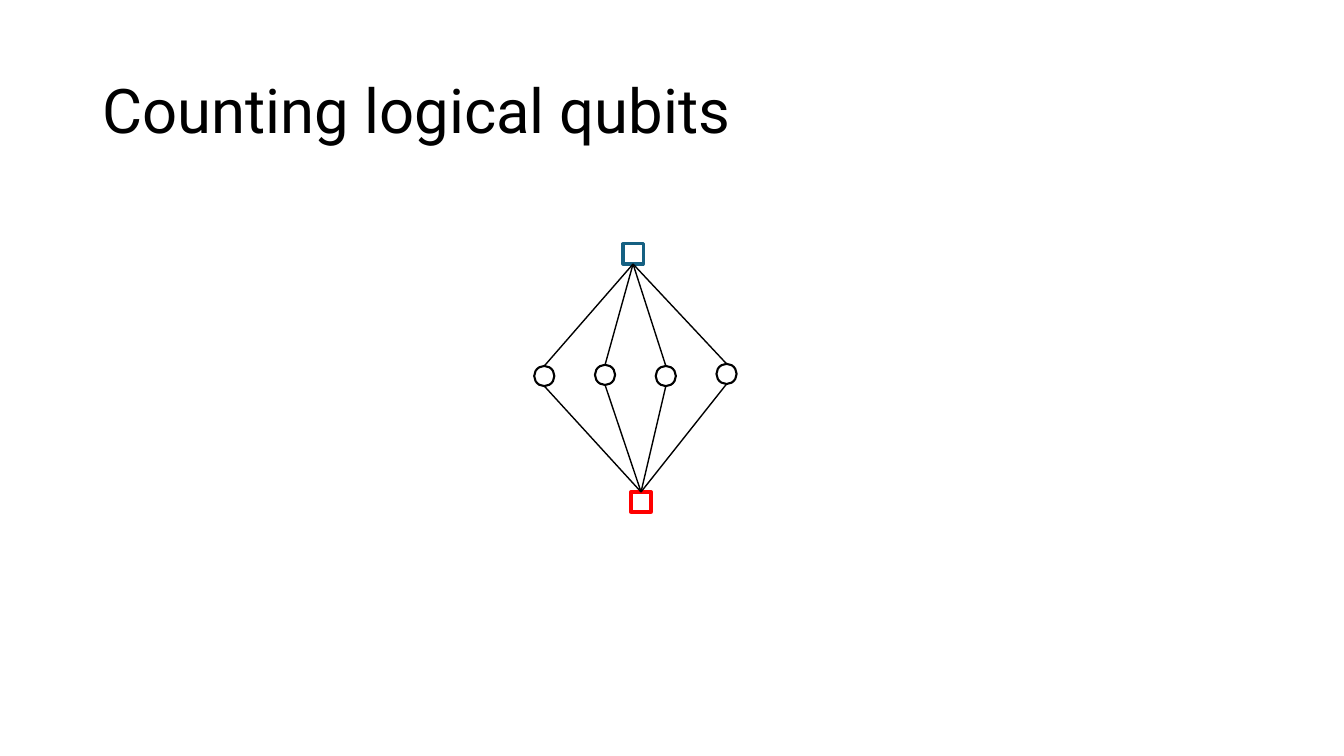
from dataclasses import dataclass

from lxml.etree import SubElement
from pptx import Presentation
from pptx.dml.color import RGBColor
from pptx.enum.shapes import MSO_CONNECTOR, MSO_SHAPE
from pptx.enum.text import MSO_ANCHOR, PP_ALIGN
from pptx.oxml.ns import qn
from pptx.util import Pt


@dataclass(frozen=True)
class Theme:
    font: str = "Roboto"
    ink: str = "000000"
    paper: str = "FFFFFF"
    blue: str = "156082"
    red: str = "FF0000"
    title_size: float = 44
    edge_width: float = 1
    qubit_width: float = 1.5
    check_width: float = 2.25


NODE_SIZE = 14.4
QUBIT_LEFT = 381.6
QUBIT_STEP = 43.4
QUBIT_TOPS = (261.4, 260.6, 261.4, 259.9)
TOP, BOTTOM = 0, 2


def write_text(frame, text, *, font, size, color, align=PP_ALIGN.LEFT,
               anchor=MSO_ANCHOR.MIDDLE, line_spacing=0.9):
    frame.word_wrap = True
    frame.vertical_anchor = anchor
    para = frame.paragraphs[0]
    para.alignment = align
    para.line_spacing = line_spacing
    span = para.add_run()
    span.text = text
    span.font.name = font
    span.font.size = Pt(size)
    span.font.color.rgb = RGBColor.from_string(color)


class Page:
    def __init__(self, deck, theme):
        self.theme = theme
        self.slide = deck.slides.add_slide(deck.slide_layouts[5])
        self.graph = self.slide.shapes.add_group_shape().shapes

    def title(self, text, left, top, width, height):
        box = self.slide.shapes.title
        box.left, box.top = Pt(left), Pt(top)
        box.width, box.height = Pt(width), Pt(height)
        write_text(box.text_frame, text, font=self.theme.font,
                   size=self.theme.title_size, color=self.theme.ink)

    def node(self, kind, left, top, color, line_width):
        shape = self.graph.add_shape(
            kind, Pt(left), Pt(top), Pt(NODE_SIZE), Pt(NODE_SIZE))
        shape.shadow.inherit = False
        shape.fill.solid()
        shape.fill.fore_color.rgb = RGBColor.from_string(self.theme.paper)
        shape.line.color.rgb = RGBColor.from_string(color)
        shape.line.width = Pt(line_width)
        return shape

    def qubit(self, left, top):
        return self.node(MSO_SHAPE.OVAL, left, top,
                         self.theme.ink, self.theme.qubit_width)

    def check(self, left, top, color):
        return self.node(MSO_SHAPE.RECTANGLE, left, top,
                         color, self.theme.check_width)

    def edge(self, check, side, qubit):
        end_x = qubit.left + qubit.width // 2
        end_y = qubit.top if side == BOTTOM else qubit.top + qubit.height
        line = self.graph.add_connector(
            MSO_CONNECTOR.STRAIGHT, check.left, check.top, end_x, end_y)
        line.begin_connect(check, side)
        line.line.color.rgb = RGBColor.from_string(self.theme.ink)
        line.line.width = Pt(self.theme.edge_width)
        SubElement(line._element.spPr, qn("a:effectLst"))


def main():
    deck = Presentation()
    deck.slide_width, deck.slide_height = Pt(960), Pt(540)
    theme = Theme()
    page = Page(deck, theme)
    page.title("Counting logical qubits", 66, 28.8, 828, 104.4)

    qubits = [page.qubit(QUBIT_LEFT + index * QUBIT_STEP, top)
              for index, top in enumerate(QUBIT_TOPS)]
    upper_check = page.check(445, 174.2, theme.blue)
    lower_check = page.check(450.7, 351.4, theme.red)
    for check, side in ((upper_check, BOTTOM), (lower_check, TOP)):
        for qubit in qubits:
            page.edge(check, side, qubit)

    deck.save("out.pptx")


if __name__ == "__main__":
    main()
